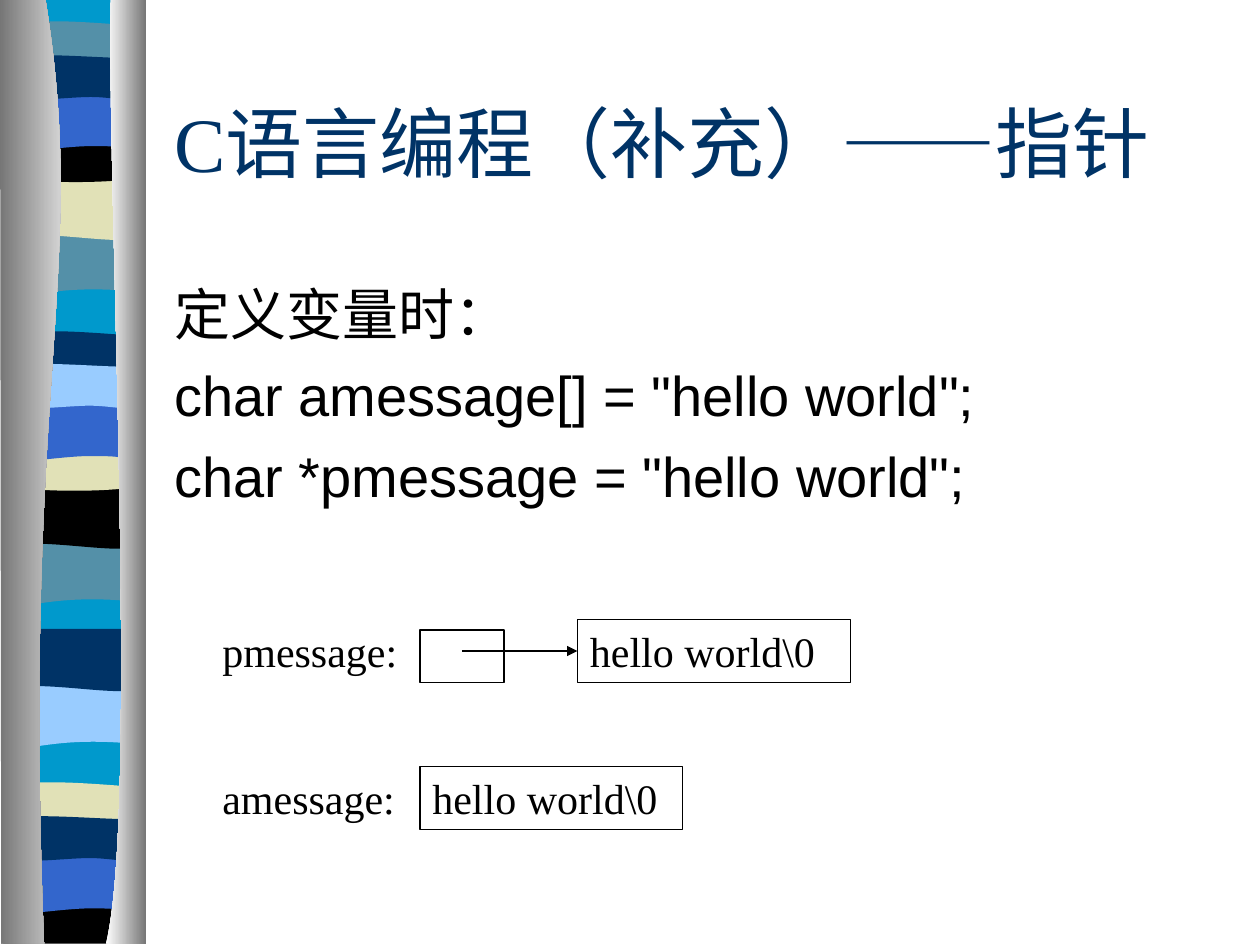
from lxml.etree import SubElement
from pptx import Presentation
from pptx.dml.color import RGBColor
from pptx.enum.shapes import MSO_CONNECTOR as Connector, MSO_SHAPE as Shape
from pptx.enum.text import MSO_ANCHOR as Anchor, MSO_AUTO_SIZE as AutoSize, PP_ALIGN as Align
from pptx.oxml.ns import qn
from pptx.util import Inches, Pt

COLORS = {
    "white": "FFFFFF", "black": "000000", "navy": "003366", "blue": "3366CC",
    "cyan": "0099CC", "sky": "99CCFF", "teal": "5490A8", "sand": "E1E1B7",
    "grey": "767676",
}
UNIT = Inches(10) // 120
STRIP_COLUMNS, STRIP_ROWS = 116, 750

BAND_OUTLINES = {
    "swell": [(108, 0), (108, 47), (33, 39, 18, 55, 0, 47), (0, 0)],
    "dip": [(108, 0), (108, 47), (90, 55, 33, 41, 0, 47), (0, 0)],
    "ribbon": [(108, 5), (108, 29), (90, 33, 18, 33, 0, 29), (0, 5),
               (6, 0, 23, 1, 41, 1), (59, 1, 94, 4, 108, 5)],
    "sag": [(108, 0), (108, 32), (90, 38, 18, 38, 0, 32), (0, 0), (66, 5, 85, 0, 108, 0)],
    "arch": [(108, 0), (108, 47), (91, 42, 84, 42, 66, 42), (48, 42, 16, 47, 0, 47), (0, 0)],
    "wave": [(108, 5), (108, 36), (101, 41, 84, 36, 66, 36), (48, 36, 11, 41, 0, 36),
             (0, 5), (15, 0, 73, 5, 91, 5), (109, 5, 104, 5, 108, 5)],
    "base": [(108, 0), (108, 37), (0, 37), (0, 0), (66, 5, 85, 0, 108, 0)],
}
BANDS = [
    (6, [("swell", 185, "teal"), ("dip", 141, "sand"), ("ribbon", 16, "teal"),
         ("sag", 108, "black"), ("arch", 74, "blue"), ("wave", 41, "navy")]),
    (5, [("swell", 431, "teal"), ("dip", 386, "black"), ("ribbon", 262, "navy"),
         ("sag", 353, "sand"), ("arch", 320, "blue"), ("wave", 286, "sky")]),
    (6, [("swell", 544, "sky"), ("dip", 499, "navy")]),
    (5, [("ribbon", 620, "sand"), ("base", 712, "black"),
         ("arch", 679, "blue"), ("wave", 645, "navy")]),
]
CURTAINS = [
    ([(36, -1), (71, 216, 17, 296, 35, 749), (1, 749), (0, -1)], ("grey", "white")),
    ([(88, -1), (84, 125, 111, 646, 84, 749), (116, 749), (116, 0)], ("white", "grey")),
]


def rgb(name):
    """Return the named colour."""
    return RGBColor.from_string(COLORS[name])


def bend(piece, outline):
    """Join the three points of each curved segment into one cubic curve."""
    corners = iter(list(piece._element.iter(qn("a:lnTo"))))
    for segment in outline[1:]:
        first = next(corners)
        if len(segment) == 2:
            continue
        curve = first.makeelement(qn("a:cubicBezTo"))
        first.addprevious(curve)
        for corner in (first, next(corners), next(corners)):
            curve.append(corner[0])
            corner.getparent().remove(corner)


def add_outline(slide, box, outline, colors, shift=(0, 0)):
    """Draw a filled outline on the strip grid, plain or shaded left to right."""
    left, top, width, height = box
    points = [(round(left + (x + shift[0]) * width / STRIP_COLUMNS),
               round(top + (y + shift[1]) * height / STRIP_ROWS))
              for segment in outline
              for x, y in zip(segment[::2], segment[1::2])]
    builder = slide.shapes.build_freeform(*points[0])
    builder.add_line_segments(points[1:], close=True)
    piece = builder.convert_to_shape()
    bend(piece, outline)
    piece.shadow.inherit = False
    piece.line.fill.background()
    if len(colors) == 1:
        piece.fill.solid()
        piece.fill.fore_color.rgb = rgb(colors[0])
    else:
        piece.fill.gradient()
        piece.fill.gradient_angle = 0
        for stop, color in zip(piece.fill.gradient_stops, colors):
            stop.color.rgb = rgb(color)


def add_strip(slide, box):
    """Draw the banded side strip between its two curtains."""
    backdrop = [(114, -1), (114, 747), (6, 747), (6, -1)]
    add_outline(slide, box, backdrop, ["cyan"])
    for column, bands in BANDS:
        for kind, row, color in bands:
            add_outline(slide, box, BAND_OUTLINES[kind], [color], (column, row))
    for outline, colors in CURTAINS:
        add_outline(slide, box, outline, colors)


def write(frame, lines, size, font, color, before=0, hanging=0):
    """Write one paragraph per line, wrapped and left aligned."""
    frame.word_wrap = True
    for index, line in enumerate(lines):
        paragraph = frame.add_paragraph() if index else frame.paragraphs[0]
        paragraph.alignment = Align.LEFT
        paragraph.space_before = Pt(before)
        if hanging:
            properties = paragraph._p.get_or_add_pPr()
            properties.set("marL", str(hanging))
            properties.set("indent", str(-hanging))
        run = paragraph.add_run()
        run.text = line
        run.font.size = Pt(size)
        run.font.name = font
        run.font.color.rgb = rgb(color)


def add_title(slide, box):
    """Place the slide title."""
    frame = slide.shapes.add_textbox(*box).text_frame
    frame.vertical_anchor = Anchor.MIDDLE
    write(frame, ["C语言编程（补充）——指针"], 44, "Times New Roman", "navy")


def add_definitions(slide, box):
    """Place the two variable definitions."""
    frame = slide.shapes.add_textbox(*box).text_frame
    lines = ["定义变量时：", 'char amessage[] = "hello world";', 'char *pmessage = "hello world";']
    write(frame, lines, 32, "Arial", "black", before=8, hanging=Inches(0.38))


def add_cell(slide, box, text="", framed=True):
    """Place a memory cell or, unframed, its label."""
    if framed:
        cell = slide.shapes.add_shape(Shape.RECTANGLE, *box)
        cell.shadow.inherit = False
        cell.fill.background()
        cell.line.color.rgb = rgb("black")
        cell.line.width = Pt(0.74)
    else:
        cell = slide.shapes.add_textbox(*box)
    if text:
        cell.text_frame.vertical_anchor = Anchor.TOP
        cell.text_frame.auto_size = AutoSize.SHAPE_TO_FIT_TEXT
        write(cell.text_frame, [text], 24, "Times New Roman", "black", before=15)


def add_pointer(slide, start, end):
    """Draw the arrow from the pointer to its string."""
    pointer = slide.shapes.add_connector(Connector.STRAIGHT, *start, *end)
    pointer.line.color.rgb = rgb("black")
    pointer.line.width = Pt(0.74)
    SubElement(pointer.line._get_or_add_ln(), qn("a:tailEnd"), type="triangle")
    SubElement(pointer._element.spPr, qn("a:effectLst"))


def add_memory_diagram(slide, box):
    """Draw the array and the pointer with their strings."""
    left, top, width, height = box
    column, row = width / 61, height / 20

    def at(x, y):
        return round(left + x * column), round(top + y * row)

    def area(x, y, columns, rows):
        return at(x, y) + (round(columns * column), round(rows * row))

    add_cell(slide, area(20, 14, 25, 6), "hello world\\0")
    add_cell(slide, area(0, 14, 20, 6), "amessage:", framed=False)
    add_cell(slide, area(0, 0, 20, 6), "pmessage:", framed=False)
    add_cell(slide, area(20, 1, 8, 5))
    add_pointer(slide, at(24, 3), at(35, 3))
    add_cell(slide, area(35, 0, 26, 6), "hello world\\0")


def grid(*lengths):
    """Return lengths given in slide grid units."""
    return tuple(round(length * UNIT) for length in lengths)


def main():
    """Build and save the slide."""
    deck = Presentation()
    deck.slide_width, deck.slide_height = grid(120, 90)
    slide = deck.slides.add_slide(deck.slide_layouts[6])
    slide.background.fill.solid()
    slide.background.fill.fore_color.rgb = rgb("white")
    add_strip(slide, grid(0, 0, 13.92, 90))
    add_title(slide, grid(15.4, 6, 102, 15))
    add_definitions(slide, grid(15.4, 26, 102, 54))
    add_memory_diagram(slide, grid(20, 59, 61, 20))
    deck.save("out.pptx")


main()
